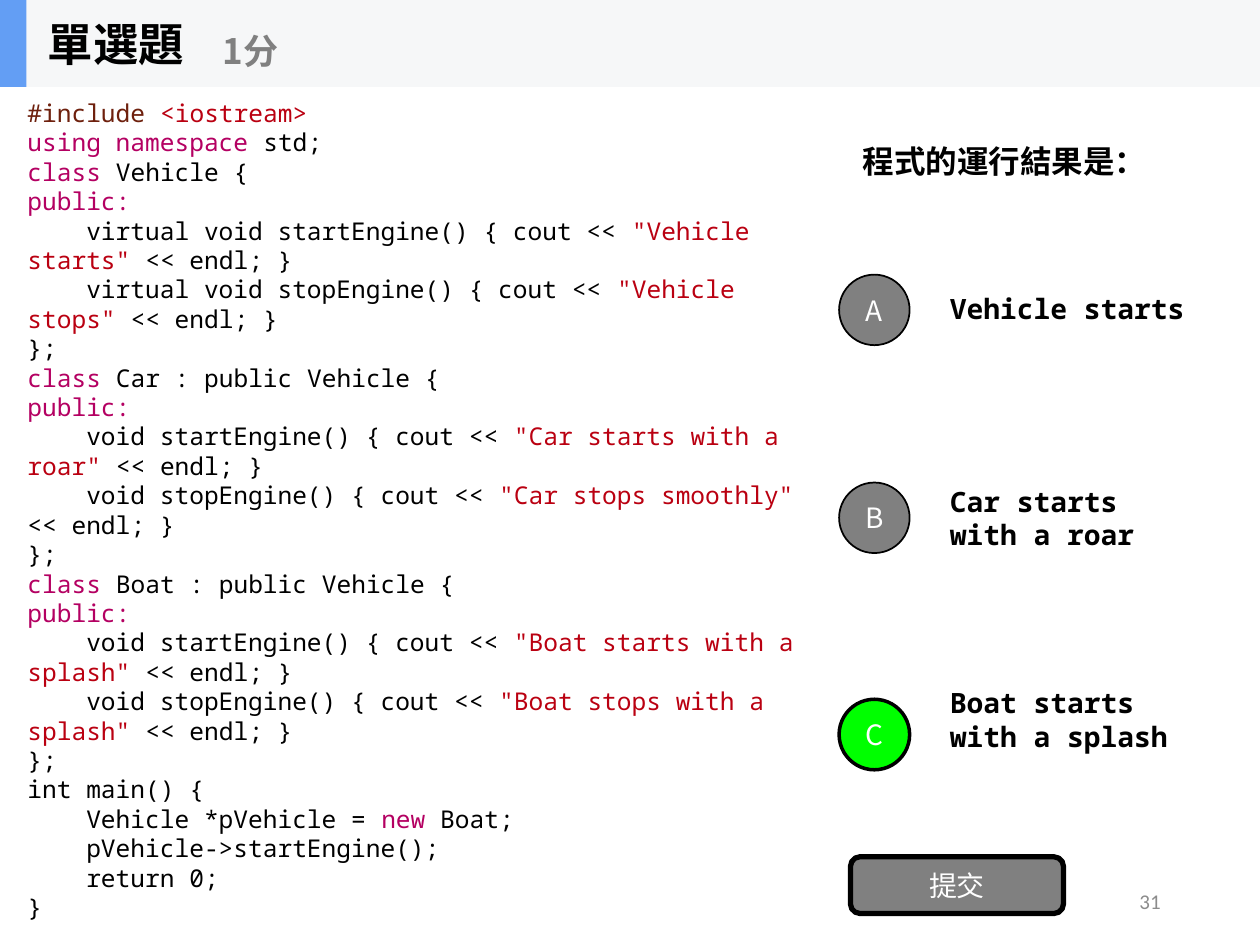
from lxml import etree
from pptx import Presentation
from pptx import util as u
from pptx.dml.color import RGBColor
from pptx.enum import shapes, text
from pptx.oxml.ns import qn

EMU_PER_PX = 9144  # 100 px to the inch

BLACK = RGBColor(0x00, 0x00, 0x00)
WHITE = RGBColor(0xFF, 0xFF, 0xFF)
GRAY = RGBColor(0x80, 0x80, 0x80)
PAGE_GRAY = RGBColor(0x8C, 0x8C, 0x8C)
GREEN = RGBColor(0x00, 0xFF, 0x00)
BAND = RGBColor(0xF6, 0xF7, 0xF8)
BLUE = RGBColor(0x63, 0x9E, 0xF4)
DIRECTIVE = RGBColor(0x6E, 0x20, 0x0D)
STRING = RGBColor(0xBA, 0x00, 0x11)
KEYWORD = RGBColor(0xB4, 0x00, 0x62)

SANS = "Noto Sans CJK SC"
MONO = "Noto Sans Mono"
PAGE_FONT = "Calibri"

SHAPE = shapes.MSO_SHAPE
ALIGN = text.PP_ALIGN
ANCHOR = text.MSO_ANCHOR


def px(length):
    return u.Emu(length * EMU_PER_PX)


class QuizSlide:
    def __init__(self, presentation):
        self.slide = presentation.slides.add_slide(presentation.slide_layouts[6])

    def add_lines(self, frame, lines, size, font, bold=False, align=ALIGN.LEFT):
        """Fill a frame with lines, each a list of (words, color) runs."""
        for number, line in enumerate(lines):
            paragraph = frame.add_paragraph() if number else frame.paragraphs[0]
            paragraph.alignment = align
            for words, color in line:
                run = paragraph.add_run()
                run.text = words
                run.font.size = u.Pt(size)
                run.font.bold = bold
                run.font.color.rgb = color
                run.font.name = font
                east_asian = etree.SubElement(run._r.get_or_add_rPr(), qn("a:ea"))
                east_asian.set("typeface", font)

    def add_text(self, box, lines, size, font, bold=False, align=ALIGN.LEFT,
                 anchor=ANCHOR.MIDDLE):
        frame = self.slide.shapes.add_textbox(*map(px, box)).text_frame
        frame.word_wrap = True
        frame.vertical_anchor = anchor
        self.add_lines(frame, lines, size, font, bold, align)

    def add_shape(self, preset, box, fill, line_width=0, label=""):
        shape = self.slide.shapes.add_shape(preset, *map(px, box))
        shape.shadow.inherit = False
        shape.fill.solid()
        shape.fill.fore_color.rgb = fill
        if line_width:
            shape.line.color.rgb = BLACK
            shape.line.width = u.Pt(line_width)
        else:
            shape.line.fill.background()
        if label:
            frame = shape.text_frame
            frame.margin_left = frame.margin_right = 0
            frame.margin_top = frame.margin_bottom = 0
            frame.vertical_anchor = ANCHOR.MIDDLE
            self.add_lines(frame, [[(label, WHITE)]], 16, SANS, align=ALIGN.CENTER)


def class_code(declaration, method_type, starts, stops):
    """Code lines of a class whose two methods print a message."""
    lines = [[("class", KEYWORD), (f" {declaration} {{", BLACK)], [("public:", KEYWORD)]]
    for method, message in (("startEngine", starts), ("stopEngine", stops)):
        lines.append([
            (f"    {method_type} {method}() {{ cout << ", BLACK),
            (f'"{message}"', STRING),
            (" << endl; }", BLACK),
        ])
    return lines + [[("};", BLACK)]]


CODE = [
    [("#include ", DIRECTIVE), ("<iostream>", STRING)],
    [("using namespace", KEYWORD), (" std;", BLACK)],
    *class_code("Vehicle", "virtual void", "Vehicle starts", "Vehicle stops"),
    *class_code("Car : public Vehicle", "void", "Car starts with a roar", "Car stops smoothly"),
    *class_code("Boat : public Vehicle", "void",
                "Boat starts with a splash", "Boat stops with a splash"),
    [("int main() {", BLACK)],
    [("    Vehicle *pVehicle = ", BLACK), ("new", KEYWORD), (" Boat;", BLACK)],
    [("    pVehicle->startEngine();", BLACK)],
    [("    return 0;", BLACK)],
    [("}", BLACK)],
]

# letter, circle top, fill, line width, answer box, answer lines
OPTIONS = [
    ("A", 218, GRAY, 1, (744, 162, 339, 165), ["Vehicle starts"]),
    ("B", 383, GRAY, 1, (744, 376, 236, 70), ["Car starts", "with a roar"]),
    ("C", 555, GREEN, 2, (744, 536, 339, 70), ["Boat starts", "with a splash"]),
]


def main():
    presentation = Presentation()
    presentation.slide_width, presentation.slide_height = px(1000), px(750)
    quiz = QuizSlide(presentation)

    quiz.add_text((706, 695, 225, 40), [[("31", PAGE_GRAY)]], 12, PAGE_FONT, align=ALIGN.RIGHT)
    quiz.add_text((12, 87, 654, 635), CODE, 14, MONO)

    for letter, top, fill, line_width, box, answer in OPTIONS:
        quiz.add_text(box, [[(line, BLACK)] for line in answer], 16, MONO, bold=True)
        quiz.add_shape(SHAPE.OVAL, (666, top, 56, 56), fill, line_width, letter)
    quiz.add_shape(SHAPE.ROUNDED_RECTANGLE, (675, 680, 169, 45), GRAY, 3, "提交")
    quiz.add_text((675, 108, 270, 40), [[("程式的運行結果是：", BLACK)]], 18, SANS, bold=True,
                  anchor=ANCHOR.TOP)

    quiz.add_shape(SHAPE.RECTANGLE, (0, 0, 1000, 69), BAND)
    quiz.add_shape(SHAPE.RECTANGLE, (0, 0, 21, 69), BLUE)
    quiz.add_text((28, 0, 208, 69), [[("單選題", BLACK)]], 26, SANS, bold=True)
    quiz.add_text((167, 12, 250, 56), [[("1分", GRAY)]], 20, SANS, bold=True)

    presentation.save("out.pptx")


if __name__ == "__main__":
    main()
